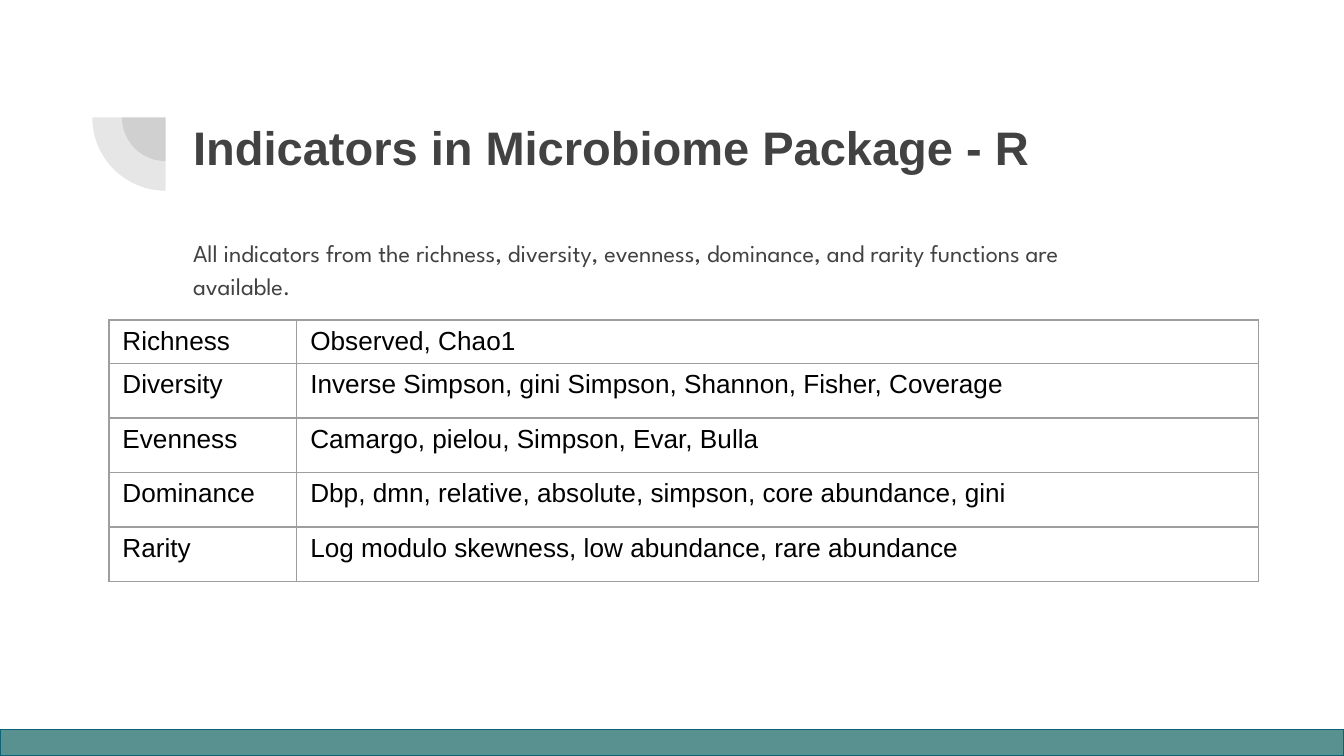
import pptx
import pptx.util
import pptx.dml.color
import pptx.enum.shapes
import pptx.enum.text
import pptx.oxml
import pptx.oxml.ns
from pptx.util import Cm, Pt

COLORS = {"ink": "424242", "bar": "599191", "bar_edge": "0B6374",
          "grid": "9E9E9E", "cell": "000000"}
SHAPES = pptx.enum.shapes.MSO_SHAPE
INDICATORS = [
    ("Richness", "Observed, Chao1"),
    ("Diversity", "Inverse Simpson, gini Simpson, Shannon, Fisher, Coverage"),
    ("Evenness", "Camargo, pielou, Simpson, Evar, Bulla"),
    ("Dominance", "Dbp, dmn, relative, absolute, simpson, core abundance, gini"),
    ("Rarity", "Log modulo skewness, low abundance, rare abundance"),
]


def rgb(name):
    return pptx.dml.color.RGBColor.from_string(COLORS[name])


def xml(text):
    return pptx.oxml.parse_xml(text.replace(" ", f" {pptx.oxml.ns.nsdecls('a')} ", 1))


def style(paragraph, font, size, color, bold=False):
    paragraph.alignment = pptx.enum.text.PP_ALIGN.LEFT
    for run in paragraph.runs:
        run.font.name, run.font.size, run.font.bold = font, Pt(size), bold
        run.font.color.rgb = rgb(color)


def set_frame(frame):
    frame.word_wrap = True
    frame.auto_size = pptx.enum.text.MSO_AUTO_SIZE.NONE
    frame.vertical_anchor = pptx.enum.text.MSO_ANCHOR.TOP
    frame.margin_left = frame.margin_right = Cm(0.25)
    frame.margin_top = frame.margin_bottom = Cm(0.25)


def add_quarter_rings(slide, center_x, center_y):
    for diameter in (1.65, 2.77):
        quarter = slide.shapes.add_shape(
            SHAPES.PIE, Cm(center_x - diameter / 2), Cm(center_y - diameter / 2),
            Cm(diameter), Cm(diameter))
        quarter.adjustments[0], quarter.adjustments[1] = 108, 162
        quarter.rotation = 270
        quarter.shadow.inherit = False
        quarter.line.fill.background()
        quarter.fill.solid()
        quarter.fill.fore_color.rgb = rgb("ink")
        tint = quarter.fill._xPr.find(".//" + pptx.oxml.ns.qn("a:srgbClr"))
        tint.append(xml('<a:alpha val="13000"/>'))


def add_heading(slide, left, top, width, height):
    title = slide.shapes.title
    title.left, title.top, title.width, title.height = map(Cm, (left, top, width, height))
    title.text_frame.text = "Indicators in Microbiome Package - R"
    set_frame(title.text_frame)
    style(title.text_frame.paragraphs[0], "Arial", 25.2, "ink", bold=True)


def add_summary(slide, left, top, width, height):
    summary = slide.shapes.add_textbox(*map(Cm, (left, top, width, height))).text_frame
    summary.text = ("All indicators from the richness, diversity, evenness, dominance, "
                    "and rarity functions are available.")
    set_frame(summary)
    paragraph = summary.paragraphs[0]
    paragraph.line_spacing, paragraph.space_after = 1.15, Pt(16)
    style(paragraph, "League Spartan", 13, "ink")


def add_footer_bar(slide, left, top, width, height):
    bar = slide.shapes.add_shape(SHAPES.RECTANGLE, *map(Cm, (left, top, width, height)))
    bar.shadow.inherit = False
    bar.fill.solid()
    bar.fill.fore_color.rgb = rgb("bar")
    bar.line.color.rgb = rgb("bar_edge")
    bar.line.width = Pt(0.75)


def add_borders(cell):
    properties = cell._tc.get_or_add_tcPr()
    for index, side in enumerate("LRTB"):
        properties.insert(index, xml(
            f'<a:ln{side} w="9525"><a:solidFill><a:srgbClr val="{COLORS["grid"]}"/>'
            f'</a:solidFill></a:ln{side}>'))


def add_indicator_table(slide, left, top, width, height):
    first_row, name_column = 0.82, 3.55
    table = slide.shapes.add_table(
        len(INDICATORS), 2, *map(Cm, (left, top, width, height))).table
    table.first_row = table.horz_banding = False
    table.columns[0].width = Cm(name_column)
    table.columns[1].width = Cm(width - name_column)
    for r, texts in enumerate(INDICATORS):
        other_rows = (height - first_row) / (len(INDICATORS) - 1)
        table.rows[r].height = Cm(other_rows if r else first_row)
        for c, text in enumerate(texts):
            cell = table.cell(r, c)
            cell.text_frame.text = text
            cell.fill.background()
            style(cell.text_frame.paragraphs[0], "Arial", 14, "cell")
            add_borders(cell)


def build_indicator_slide(deck):
    slide = deck.slides.add_slide(deck.slide_layouts[5])
    # Corner decoration and title
    add_quarter_rings(slide, 3.13, 2.22)
    add_heading(slide, 3.4, 1.98, 21.36, 1.78)
    # Summary text
    add_summary(slide, 3.4, 4.17, 18.26, 8.41)
    # Footer band
    add_footer_bar(slide, 0, 13.79, 25.4, 0.5)
    # Indicators by group
    add_indicator_table(slide, 2.06, 6.05, 21.72, 4.94)


deck = pptx.Presentation()
deck.slide_width, deck.slide_height = Cm(25.4), Cm(14.29)
build_indicator_slide(deck)
deck.save("out.pptx")
